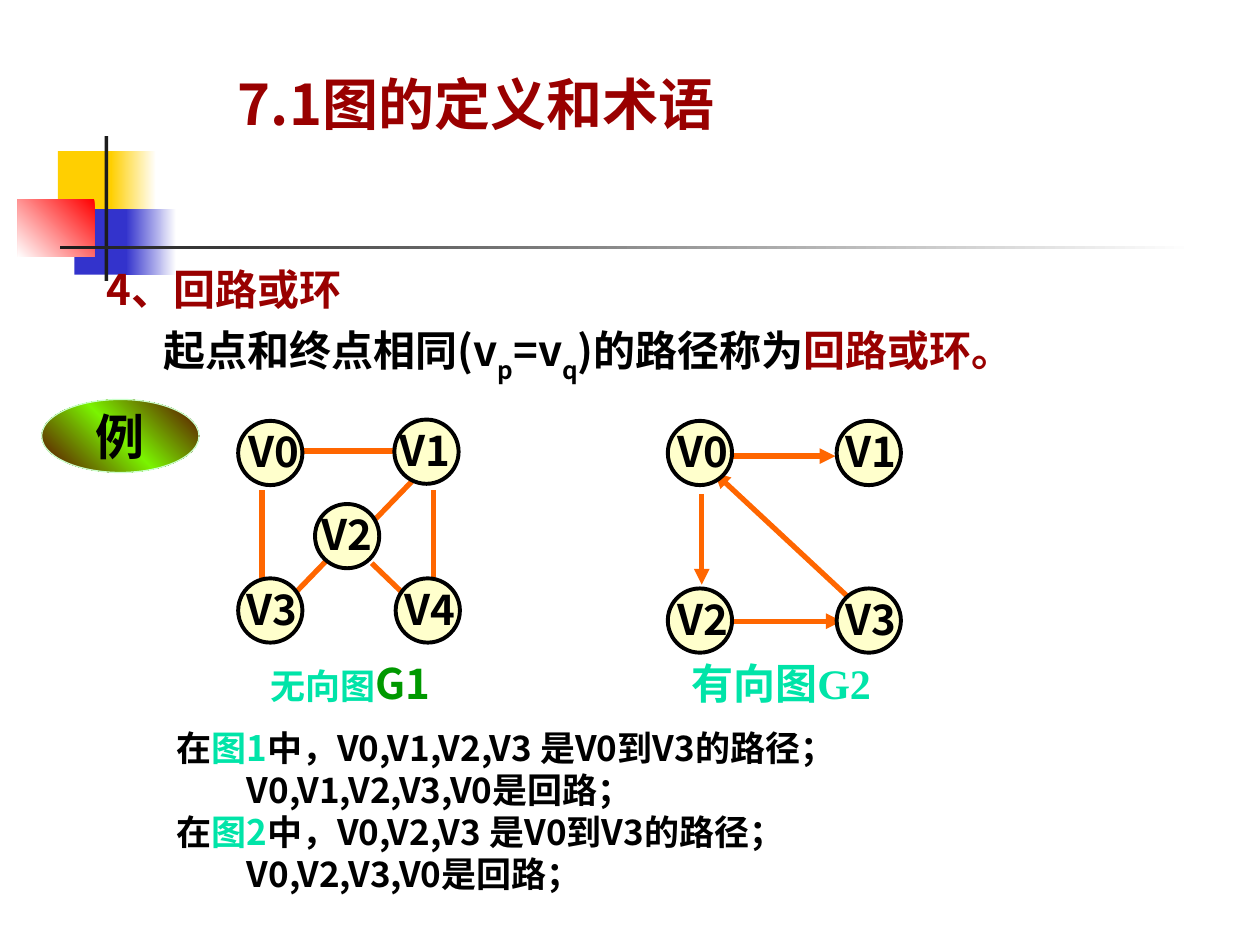
import dataclasses

import lxml.etree
import pptx
import pptx.dml.color
import pptx.enum.shapes
import pptx.enum.text
import pptx.oxml.ns
import pptx.util

PX = 9144
SHAPE = pptx.enum.shapes.MSO_SHAPE
ALIGN = pptx.enum.text.PP_ALIGN
qn = pptx.oxml.ns.qn


@dataclasses.dataclass(frozen=True)
class Theme:
    sans: str = "Noto Sans CJK SC"
    serif: str = "Times New Roman"
    title: int = 32
    badge: int = 28
    body: int = 24
    small: int = 20
    edge_width: float = 3
    node_width: float = 2.25
    badge_width: float = 0.75
    black: str = "000000"
    white: str = "FFFFFF"
    heading: str = "990000"
    mint: str = "00E4A8"
    green: str = "009900"
    edge: str = "FF6600"
    node: str = "FFFFCC"
    yellow: str = "FFCF01"
    blue: str = "3333CC"
    red: str = "FF0000"
    rule: str = "1C1C1C"
    badge_dark: str = "5A0000"
    badge_light: str = "7AF400"
    badge_line: str = "CCFFCC"


def rgb(value):
    return pptx.dml.color.RGBColor.from_string(value)


class SlideBuilder:
    def __init__(self, slide, theme):
        self.s = slide
        self.t = theme
        self.shapes = slide.shapes

    def start_group(self):
        self.shapes = self.s.shapes.add_group_shape().shapes

    def end_group(self):
        self.shapes = self.s.shapes

    def shape(self, kind, box, fill, angle=None, line=None, width=None):
        sp = self.shapes.add_shape(kind, *(v * PX for v in box))
        sp.shadow.inherit = False
        if angle is None:
            sp.fill.solid()
            sp.fill.fore_color.rgb = rgb(fill)
        else:
            self.gradient(sp, fill, angle)
        if line:
            sp.line.color.rgb = rgb(line)
            sp.line.width = pptx.util.Pt(width)
        else:
            sp.line.fill.background()
        return sp

    def gradient(self, sp, colors, angle):
        sp.fill.gradient()
        sp.fill.gradient_angle = 360 - angle
        stops = next(sp._element.spPr.iter(qn("a:gsLst")))
        for old in list(stops):
            stops.remove(old)
        for i, color in enumerate(colors):
            gs = lxml.etree.SubElement(stops, qn("a:gs"), pos=str(100000 * i // (len(colors) - 1)))
            lxml.etree.SubElement(gs, qn("a:srgbClr"), val=color)

    def paragraph(self, p, runs, size, color, font=None, align=None, indent=0, before=None, spacing=None):
        p.alignment = align
        if indent:
            p._p.get_or_add_pPr().set("marL", str(indent * PX))
            p._p.get_or_add_pPr().set("indent", "0")
        if before:
            p.space_before = pptx.util.Pt(before)
        if spacing:
            p.line_spacing = spacing
        p.font.bold = True
        p.font.name = font or self.t.sans
        if size:
            p.font.size = pptx.util.Pt(size)
        p.font.color.rgb = rgb(color)
        defaults = p._p.pPr.find(qn("a:defRPr"))
        lxml.etree.SubElement(defaults, qn("a:ea"), typeface=self.t.sans)
        for text, style in runs:
            r = p.add_run()
            r.text = text
            if "color" in style:
                r.font.color.rgb = rgb(style["color"])
            if "size" in style:
                r.font.size = pptx.util.Pt(style["size"])
            if "sub" in style:
                r._r.get_or_add_rPr().set("baseline", "-30000")

    def text(self, box, paragraphs, **style):
        tf = self.shapes.add_textbox(*(v * PX for v in box)).text_frame
        tf.word_wrap = True
        for i, (runs, own) in enumerate(paragraphs):
            p = tf.paragraphs[0] if i == 0 else tf.add_paragraph()
            self.paragraph(p, runs, **{**style, **own})

    def badge(self, box, label):
        t = self.t
        sp = self.shape(SHAPE.OVAL, box, (t.badge_dark, t.badge_light, t.badge_dark), 135, t.badge_line, t.badge_width)
        tf = sp.text_frame
        tf.word_wrap = False
        tf.vertical_anchor = pptx.enum.text.MSO_ANCHOR.MIDDLE
        self.paragraph(tf.paragraphs[0], [(label, {})], t.badge, t.black, t.serif, ALIGN.CENTER)

    def node(self, label, x, y, label_x):
        t = self.t
        self.shape(SHAPE.OVAL, (x, y, 51, 51), t.node, line=t.black, width=t.node_width)
        self.text((label_x, y - 1, 68, 50), [([(label, {})], {})], size=t.body, color=t.black)

    def edge(self, x1, y1, x2, y2, arrow):
        cx = self.shapes.add_connector(pptx.enum.shapes.MSO_CONNECTOR.STRAIGHT, *(v * PX for v in (x1, y1, x2, y2)))
        cx.line.color.rgb = rgb(self.t.edge)
        cx.line.width = pptx.util.Pt(self.t.edge_width)
        if arrow:
            lxml.etree.SubElement(cx.line._get_or_add_ln(), qn("a:tailEnd"), type="triangle")
        lxml.etree.SubElement(cx._element.spPr, qn("a:effectLst"))

    def graph(self, edges, nodes, arrow=False):
        self.start_group()
        for edge in edges:
            self.edge(*edge, arrow)
        for node in nodes:
            self.node(*node)
        self.end_group()


def main():
    prs = pptx.Presentation()
    prs.slide_width, prs.slide_height = 1000 * PX, 750 * PX
    t = Theme()
    b = SlideBuilder(prs.slides.add_slide(prs.slide_layouts[6]), t)

    for box, fill, angle in (
        ((46, 120, 48, 52), t.yellow, None),
        ((88, 120, 36, 52), (t.white, t.yellow), 180),
        ((59, 166, 46, 52), t.blue, None),
        ((100, 166, 40, 52), (t.white, t.blue), 180),
        ((14, 158, 61, 46), (t.red, t.white), 135),
        ((83, 108, 3, 115), t.rule, None),
        ((48, 195, 900, 3), (t.white, t.rule), 180),
    ):
        b.shape(SHAPE.RECTANGLE, box, fill, angle)

    b.text((75, 200, 833, 110), [
        ([("4、回路或环", {})], {"color": t.heading}),
        ([("起点和终点相同(v", {}), ("p", {"sub": True}), ("=v", {}), ("q", {"sub": True}),
          (")的路径称为", {}), ("回路或环。", {"color": t.heading})], {"indent": 45, "before": 3}),
    ], size=t.body, color=t.black, spacing=1.1)
    b.text((200, 517, 156, 50), [
        ([("无向图", {"size": t.small}), ("G1", {"size": t.body, "color": t.green})], {}),
    ], size=None, color=t.mint, align=ALIGN.CENTER)
    b.text((517, 517, 206, 50), [([("有向图G2", {})], {})],
           size=t.body, color=t.mint, font=t.serif, align=ALIGN.CENTER)
    b.badge((33, 317, 125, 58), "例")

    b.graph(
        [(208, 389, 208, 461), (238, 358, 321, 358), (344, 389, 344, 461),
         (261, 443, 232, 473), (327, 382, 297, 413), (295, 447, 321, 472)],
        [("V0", 189, 334, 187), ("V4", 314, 459, 311), ("V3", 189, 459, 186),
         ("V1", 313, 333, 307), ("V2", 250, 400, 245)],
    )
    b.graph(
        [(557, 392, 557, 464), (581, 493, 668, 493), (581, 362, 663, 362), (683, 483, 567, 375)],
        [("V0", 530, 334, 528), ("V1", 664, 334, 661), ("V2", 530, 467, 528), ("V3", 664, 467, 661)],
        arrow=True,
    )

    examples = []
    for name, route in (("图1", "V0,V1,V2,V3"), ("图2", "V0,V2,V3")):
        examples += [
            ([("在", {}), (name, {"color": t.mint}), (f"中，{route} 是V0到V3的路径；", {})], {}),
            ([(f"{route},V0是回路；", {})], {"indent": 56}),
        ]
    b.text((130, 572, 1025, 144), examples, size=t.small, color=t.black)
    b.text((179, 50, 400, 64), [([("7.1图的定义和术语", {})], {})], size=t.title, color=t.heading)
    prs.save("out.pptx")


if __name__ == "__main__":
    main()
